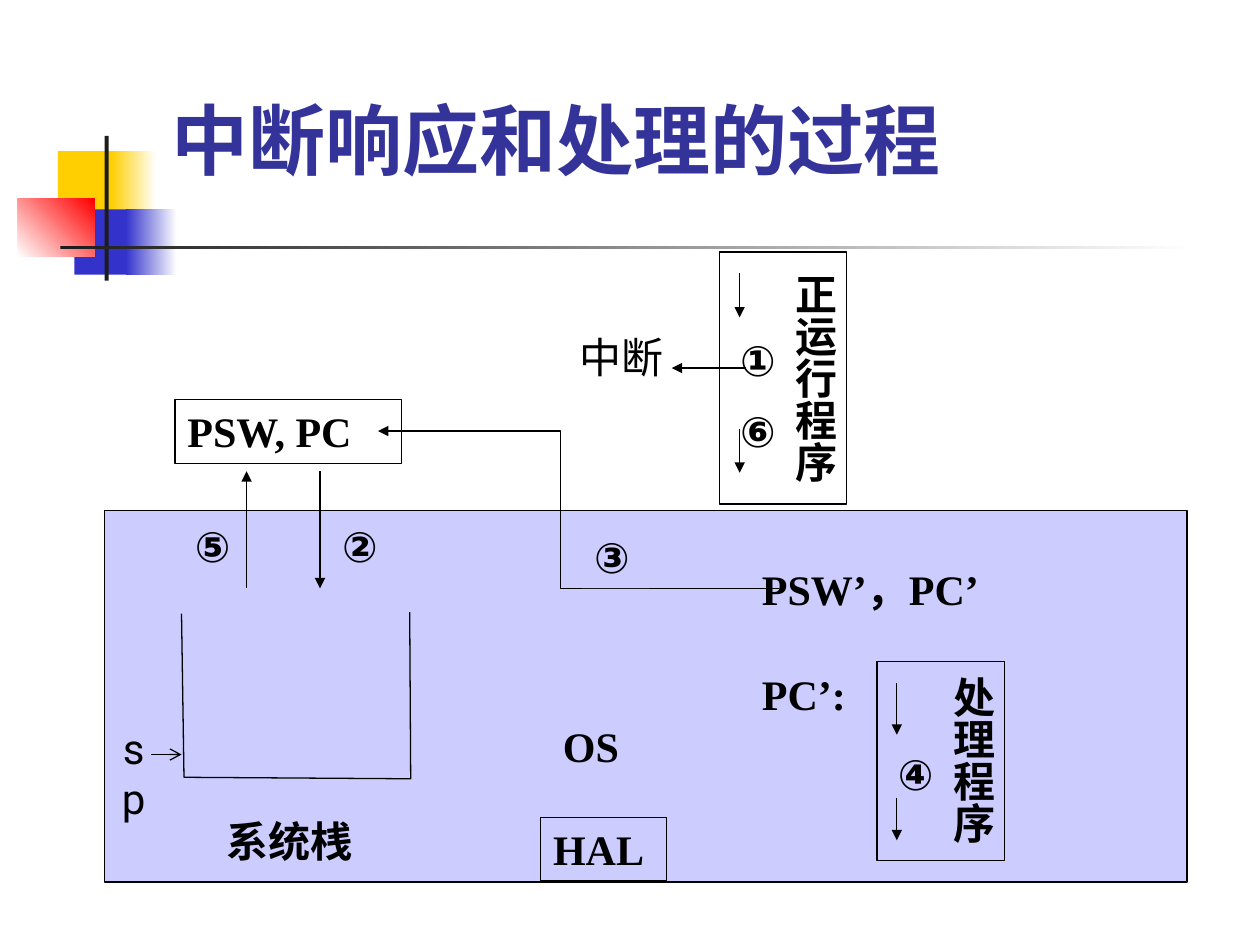
"""Build a slide on the steps of interrupt response and handling."""
from dataclasses import dataclass
from typing import Optional

from lxml.etree import SubElement
from pptx import Presentation
from pptx.dml.color import RGBColor as Rgb
from pptx.enum.shapes import MSO_CONNECTOR as Link, MSO_SHAPE as Form
from pptx.enum.text import MSO_ANCHOR as Anchor, PP_ALIGN as Align
from pptx.oxml.ns import qn
from pptx.util import Cm, Pt


@dataclass(frozen=True)
class Theme:
    ink: str = "000000"
    dark: str = "1C1C1C"
    white: str = "FFFFFF"
    panel: str = "CCCCFF"
    gold: str = "FFCF01"
    blue: str = "3333CC"
    red: str = "FF0000"
    title: str = "333399"
    serif: str = "Times New Roman"
    sans: str = "Roboto"
    body: float = 24
    head: float = 44
    gap: float = 15
    line: float = 0.75


T = Theme()


@dataclass(frozen=True)
class Block:
    left: float
    top: float
    width: float
    height: float
    fill: str
    fade: Optional[str] = None
    angle: float = 0
    edge: bool = False


@dataclass(frozen=True)
class Label:
    left: float
    top: float
    width: float
    height: float
    text: str
    fill: Optional[str] = T.panel
    edge: bool = False
    font: str = T.serif
    size: float = T.body
    color: str = T.ink
    bold: bool = True
    gap: float = T.gap
    align: Align = Align.LEFT


@dataclass(frozen=True)
class Program:
    left: float
    top: float
    width: float
    height: float
    fill: str
    name: str
    steps: str
    stops: tuple
    inset: float


@dataclass(frozen=True)
class Arrow:
    x1: float
    y1: float
    x2: float
    y2: float
    tip: str = "triangle"


@dataclass(frozen=True)
class Path:
    points: tuple
    tip: Optional[str] = None


def ink(line, tip: Optional[str] = None) -> None:
    line.color.rgb = Rgb.from_string(T.ink)
    line.width = Pt(T.line)
    if tip:
        SubElement(line._get_or_add_ln(), qn("a:tailEnd"), type=tip)


def draw_block(shapes, item: Block):
    shape = shapes.add_shape(Form.RECTANGLE, Cm(item.left), Cm(item.top),
                             Cm(item.width), Cm(item.height))
    shape.shadow.inherit = False
    if item.fade:
        shape.fill.gradient()
        shape.fill.gradient_angle = item.angle
        for stop, color in zip(shape.fill.gradient_stops, (item.fill, item.fade)):
            stop.color.rgb = Rgb.from_string(color)
    else:
        shape.fill.solid()
        shape.fill.fore_color.rgb = Rgb.from_string(item.fill)
    if item.edge:
        ink(shape.line)
    else:
        shape.line.fill.background()
    return shape


def set_frame(frame, left: float, top: float, right: float, bottom: float) -> None:
    frame.word_wrap = True
    frame.vertical_anchor = Anchor.TOP
    frame.margin_left, frame.margin_top = Cm(left), Cm(top)
    frame.margin_right, frame.margin_bottom = Cm(right), Cm(bottom)


def write(para, text: str, font: str, size: float = T.body, color: str = T.ink,
          bold: bool = True, gap: float = T.gap, align: Align = Align.LEFT) -> None:
    para.text = text
    para.alignment = align
    para.space_before = Pt(gap)
    para.font.name, para.font.size, para.font.bold = font, Pt(size), bold
    para.font.color.rgb = Rgb.from_string(color)


def draw_label(shapes, item: Label) -> None:
    place = item.left, item.top, item.width, item.height
    if item.fill:
        shape = draw_block(shapes, Block(*place, item.fill, edge=item.edge))
    else:
        shape = shapes.add_textbox(*map(Cm, place))
    set_frame(shape.text_frame, 0.25, 0.13, 0.25, 0.13)
    write(shape.text_frame.paragraphs[0], item.text, item.font, item.size,
          item.color, item.bold, item.gap, item.align)


def draw_program(shapes, item: Program) -> None:
    shape = draw_block(shapes, Block(item.left, item.top, item.width, item.height,
                                     item.fill, edge=True))
    frame = shape.text_frame
    set_frame(frame, 0.13, item.inset, 0.13, 0.1)
    frame._txBody.bodyPr.set("vert", "eaVert")
    write(frame.paragraphs[0], item.name, T.serif)
    para = frame.add_paragraph()
    write(para, item.steps, T.sans)
    para.line_spacing = 0.5
    props = para._p.get_or_add_pPr()
    tabs = SubElement(props, qn("a:tabLst"))
    for stop in item.stops:
        SubElement(tabs, qn("a:tab"), pos=str(Cm(stop)), algn="l")
    props.find(qn("a:defRPr")).addprevious(tabs)


def draw_arrow(shapes, item: Arrow) -> None:
    line = shapes.add_connector(Link.STRAIGHT, Cm(item.x1), Cm(item.y1),
                                Cm(item.x2), Cm(item.y2))
    ink(line.line, item.tip)
    SubElement(line._element.spPr, qn("a:effectLst"))


def draw_path(shapes, item: Path) -> None:
    first, *rest = [(Cm(x), Cm(y)) for x, y in item.points]
    pen = shapes.build_freeform(*first)
    pen.add_line_segments(rest, close=False)
    shape = pen.convert_to_shape()
    shape.shadow.inherit = False
    shape.fill.background()
    ink(shape.line, item.tip)


DRAW = {Block: draw_block, Label: draw_label, Program: draw_program,
        Arrow: draw_arrow, Path: draw_path}

ITEMS = (
    Block(1.17, 3.05, 1.22, 1.32, T.gold),
    Block(2.24, 3.05, 0.91, 1.32, T.gold, T.white),
    Block(1.5, 4.22, 1.17, 1.32, T.blue),
    Block(2.54, 4.22, 1.02, 1.32, T.blue, T.white),
    Block(0.36, 4.01, 1.55, 1.17, T.white, T.red, 45),
    Block(2.11, 2.74, 0.08, 2.92, T.dark),
    Block(1.22, 4.95, 22.86, 0.08, T.dark, T.white),
    Block(2.11, 10.29, 21.82, 7.49, T.panel, edge=True),
    Program(14.5, 5.08, 2.57, 5.08, T.white, "正运行程序", "\t①\t⑥", (1.3, 2.72), 0.43),
    Arrow(14.91, 5.51, 14.91, 6.4),
    Arrow(14.91, 8.64, 14.91, 9.53),
    Program(17.68, 13.34, 2.57, 4.01, T.panel, "处理程序", "\t④", (1.5,), 0.3),
    Arrow(18.08, 13.77, 18.08, 14.81),
    Arrow(18.08, 16.08, 18.08, 16.94),
    Label(15.11, 11.23, 5.31, 1.27, "PSW’，PC’"),
    Label(15.11, 13.34, 2.31, 1.27, "PC’:"),
    Label(3.53, 8.05, 4.57, 1.3, "PSW, PC", T.white, True),
    Label(4.32, 16.31, 3.45, 1.27, "系统桟"),
    Arrow(6.45, 9.5, 6.45, 11.86),
    Label(6.65, 10.36, 1.22, 1.27, "②", font=T.sans),
    Arrow(4.97, 11.86, 4.97, 9.5),
    Label(3.68, 10.36, 1.14, 1.27, "⑤", font=T.sans),
    Path(((15.7, 11.86), (11.3, 11.86), (11.3, 8.69), (7.62, 8.69)), "triangle"),
    Label(11.73, 10.59, 1.37, 1.27, "③", font=T.sans),
    Label(10.9, 16.48, 2.54, 1.27, "HAL", edge=True),
    Label(11.1, 14.4, 2.31, 1.27, "OS"),
    Arrow(15.04, 7.42, 13.54, 7.42),
    Label(11.43, 6.55, 2.34, 1.27, "中断", None, font=T.sans, bold=False),
    Label(3.2, 1.73, 21.64, 3.18, "中断响应和处理的过程", None, font=T.sans,
          size=T.head, color=T.title, gap=0),
    Path(((3.66, 12.37), (3.71, 15.67), (8.28, 15.7), (8.26, 12.34))),
    Label(2.01, 14.43, 1.37, 2.29, "sp", None, font=T.sans, bold=False,
          align=Align.CENTER),
    Arrow(3.05, 15.21, 3.66, 15.21, "arrow"),
)


def main() -> None:
    deck = Presentation()
    deck.slide_width, deck.slide_height = Cm(25.4), Cm(19.05)
    slide = deck.slides.add_slide(deck.slide_layouts[6])
    for item in ITEMS:
        DRAW[type(item)](slide.shapes, item)
    deck.save("out.pptx")


if __name__ == "__main__":
    main()
